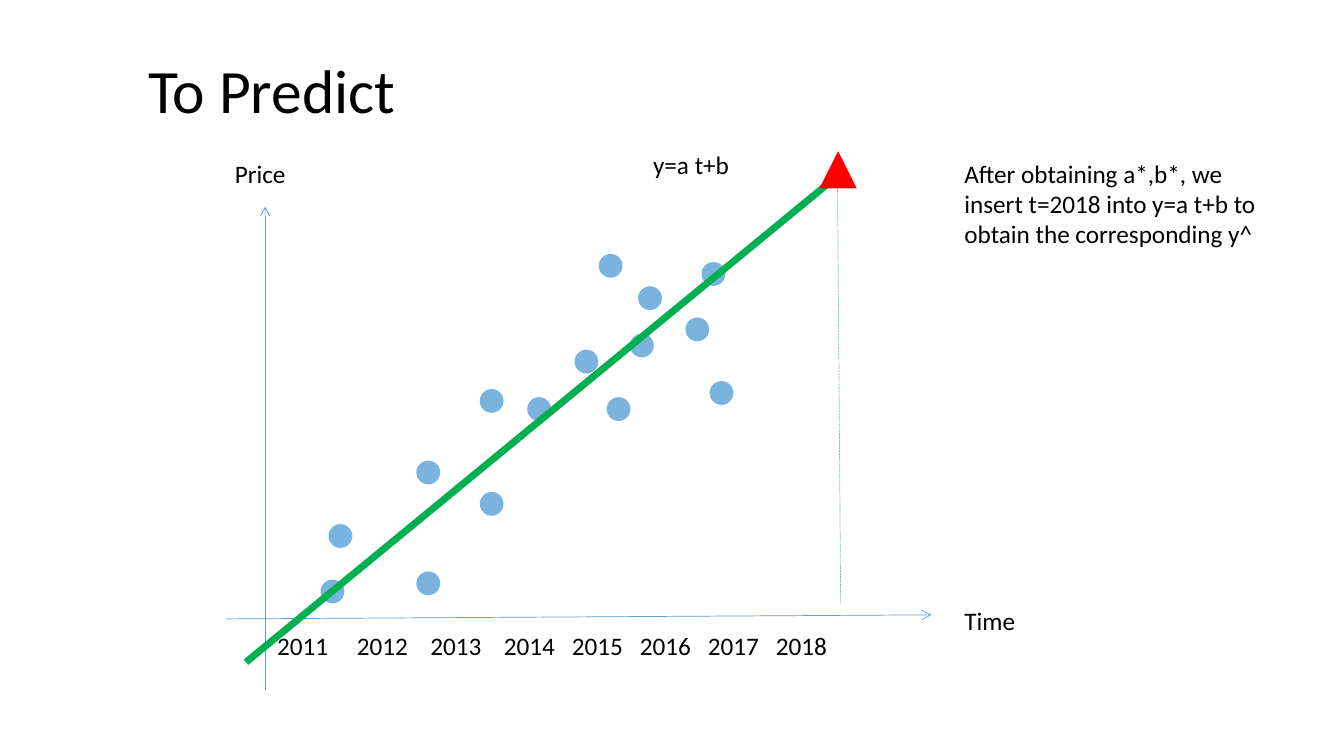
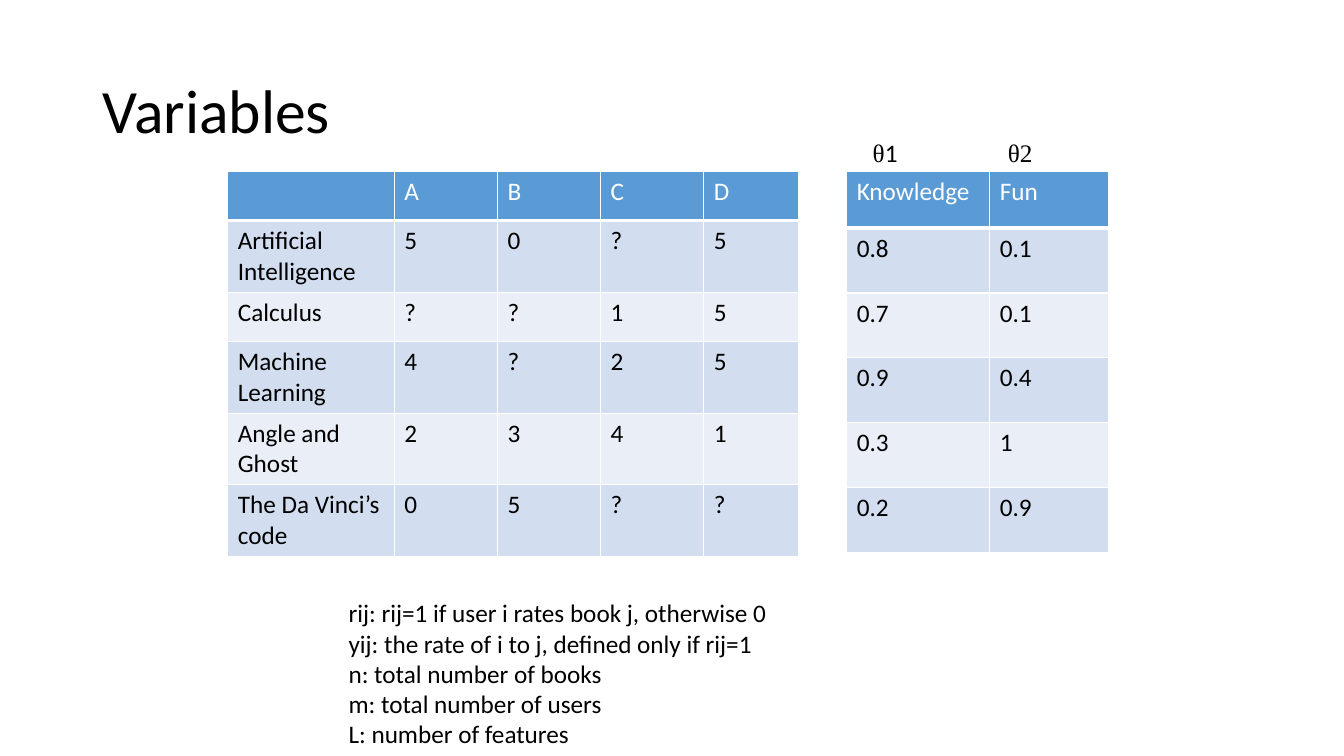
import itertools
from dataclasses import dataclass
from typing import Optional

import lxml.etree
import pptx
import pptx.dml.color
import pptx.enum.dml
import pptx.enum.shapes
import pptx.enum.text
import pptx.oxml.ns
import pptx.util

Pt = pptx.util.Pt
qn = pptx.oxml.ns.qn

# Shared look
BODY_FONT, GREEK_FONT = "Calibri", "Times New Roman"
BLACK, WHITE, BLUE = "000000", "FFFFFF", "5B9BD5"
BANDS = ("D2DEEF", "EAEFF7")
TITLE_SIZE, BODY_SIZE = 44, 18


@dataclass(frozen=True)
class Box:
    x: float
    y: float
    w: float
    h: float

    def lengths(self) -> tuple:
        return Pt(self.x), Pt(self.y), Pt(self.w), Pt(self.h)


@dataclass(frozen=True)
class Run:
    text: str
    font: str = BODY_FONT


@dataclass(frozen=True)
class Label:
    box: Box
    paragraphs: tuple  # each paragraph is a tuple of runs
    wrap: bool = True


@dataclass(frozen=True)
class Line:
    start: tuple
    end: tuple
    color: str = BLUE
    width: float = 0.5
    arrow: bool = False
    dash: Optional[pptx.enum.dml.MSO_LINE] = None


@dataclass(frozen=True)
class Grid:
    box: Box
    cols: tuple
    row_heights: tuple
    rows: tuple


def rgb(color: str) -> pptx.dml.color.RGBColor:
    return pptx.dml.color.RGBColor.from_string(color)


def add_run(p, run: Run, size: float = BODY_SIZE, color: str = BLACK) -> None:
    r = p.add_run()
    r.text = run.text
    r.font.name = run.font
    r.font.size = Pt(size)
    r.font.bold = False
    r.font.color.rgb = rgb(color)


def add_titled_slide(prs, title: str, box: Box):
    s = prs.slides.add_slide(prs.slide_layouts[5])
    sp = s.shapes.title
    sp.left, sp.top, sp.width, sp.height = box.lengths()
    tf = sp.text_frame
    tf.auto_size = pptx.enum.text.MSO_AUTO_SIZE.NONE
    tf.vertical_anchor = pptx.enum.text.MSO_ANCHOR.MIDDLE
    p = tf.paragraphs[0]
    p.alignment = pptx.enum.text.PP_ALIGN.LEFT
    p.line_spacing = 0.9
    add_run(p, Run(title), TITLE_SIZE)
    return s


def add_label(s, label: Label):
    tf = s.shapes.add_textbox(*label.box.lengths()).text_frame
    tf.word_wrap = label.wrap
    tf.auto_size = pptx.enum.text.MSO_AUTO_SIZE.SHAPE_TO_FIT_TEXT
    for i, runs in enumerate(label.paragraphs):
        p = tf.add_paragraph() if i else tf.paragraphs[0]
        for run in runs:
            add_run(p, run)
    return tf


def add_tab_stops(p, stops) -> None:
    tabs = lxml.etree.SubElement(p._p.get_or_add_pPr(), qn("a:tabLst"))
    for stop in stops:
        lxml.etree.SubElement(tabs, qn("a:tab"), pos=str(Pt(stop)), algn="l")


def add_line(s, line: Line) -> None:
    cx = s.shapes.add_connector(
        pptx.enum.shapes.MSO_CONNECTOR.STRAIGHT,
        *(Pt(v) for v in line.start + line.end))
    cx.line.color.rgb = rgb(line.color)
    cx.line.width = Pt(line.width)
    if line.dash is not None:
        cx.line.dash_style = line.dash
    if line.arrow:
        lxml.etree.SubElement(cx.line._get_or_add_ln(), qn("a:tailEnd"), type="arrow")
    lxml.etree.SubElement(cx._element.spPr, qn("a:effectLst"))


def add_marker(s, kind, box: Box, color: str, opacity: int = 100) -> None:
    sp = s.shapes.add_shape(kind, *box.lengths())
    sp.shadow.inherit = False
    sp.fill.solid()
    sp.fill.fore_color.rgb = rgb(color)
    sp.line.fill.background()
    if opacity < 100:
        clr = sp._element.spPr.find(qn("a:solidFill")).find(qn("a:srgbClr"))
        lxml.etree.SubElement(clr, qn("a:alpha"), val=str(opacity * 1000))


def set_borders(cell, bottom: float) -> None:
    tc_pr = cell._tc.get_or_add_tcPr()
    for i, (side, width) in enumerate(
            (("L", 1), ("R", 1), ("T", 1), ("B", bottom))):
        ln = lxml.etree.Element(qn(f"a:ln{side}"), w=str(Pt(width)))
        fill = lxml.etree.SubElement(ln, qn("a:solidFill"))
        lxml.etree.SubElement(fill, qn("a:srgbClr"), val=WHITE)
        tc_pr.insert(i, ln)


def add_grid(s, grid: Grid) -> None:
    table = s.shapes.add_table(
        len(grid.rows), len(grid.cols), *grid.box.lengths()).table
    for col, width in zip(table.columns, grid.cols):
        col.width = Pt(width)
    for i, (height, values) in enumerate(zip(grid.row_heights, grid.rows)):
        table.rows[i].height = Pt(height)
        header = i == 0
        for j, value in enumerate(values):
            cell = table.cell(i, j)
            cell.fill.solid()
            cell.fill.fore_color.rgb = rgb(BLUE if header else BANDS[(i - 1) % 2])
            set_borders(cell, 3 if header else 1)
            if value:
                add_run(cell.text_frame.paragraphs[0], Run(value),
                        color=WHITE if header else BLACK)


# Slide 1: scatter with fitted line
AXES = (
    Line((161.3, 442.1), (665.3, 439.2), arrow=True),
    Line((189.4, 493.2), (189.4, 147.6), arrow=True),
)
AXIS_NAMES = (
    Label(Box(681.8, 429.1, 85, 29), ((Run("Time"),),)),
    Label(Box(160.6, 109.4, 70.6, 29), ((Run("Price"),),)),
)
DOT_SIZE = 17
DOTS = (
    (234.7, 374.4), (297.4, 329), (297.4, 408.2), (229, 414), (342.7, 351.4),
    (433.4, 283.7), (410.4, 249.8), (489.6, 226.8), (455.8, 204.5),
    (450, 238.3), (427.7, 181.4), (506.9, 272.2), (501.1, 187.2),
    (376.6, 283.7), (342.7, 277.9),
)
FIT = Line((175.7, 473), (600.5, 123.8), "00B050", 5)
NOTES = (
    Label(Box(459.4, 103, 90.7, 29), ((Run("y=a t+b"),),)),
    Label(Box(681.8, 109.4, 240.5, 72.7), ((Run(
        "After obtaining a*,b*, we insert t=2018 into y=a t+b "
        "to obtain the corresponding y^"),),)),
)
PREDICTION = Box(585.4, 108, 26.6, 26.6)
DROP = Line((598.3, 134.6), (600.5, 431.3),
            dash=pptx.enum.dml.MSO_LINE.ROUND_DOT)
YEARS_BOX = Box(190.8, 446.4, 455, 29)
YEARS = range(2011, 2019)
YEAR_STEPS = (57, 52.5, 52.5) + (48.6,) * 4


def build_prediction(prs) -> None:
    shapes = pptx.enum.shapes.MSO_SHAPE
    s = add_titled_slide(prs, "To Predict", Box(98.6, 30.2, 801.4, 72.7))
    for axis in AXES:
        add_line(s, axis)
    for name in AXIS_NAMES:
        add_label(s, name)
    for x, y in DOTS:
        add_marker(s, shapes.OVAL, Box(x, y, DOT_SIZE, DOT_SIZE), "0070C0", 52)
    add_line(s, FIT)
    for note in NOTES:
        add_label(s, note)
    add_marker(s, shapes.ISOSCELES_TRIANGLE, PREDICTION, "FF0000")
    add_line(s, DROP)
    # Year scale on tab stops
    tf = add_label(s, Label(YEARS_BOX, ((Run("\t".join(map(str, YEARS))),),)))
    add_tab_stops(tf.paragraphs[0], itertools.accumulate(YEAR_STEPS))


# Slide 2: ratings and book features
RATINGS = Grid(
    Box(162.7, 122.4, 408.2, 272.2),
    (119, 73.7, 73.7, 73.7, 67.7), (35.2,) * 6,
    (
        ("", "A", "B", "C", "D"),
        ("Artificial Intelligence", "5", "0", "?", "5"),
        ("Calculus", "?", "?", "1", "5"),
        ("Machine Learning", "4", "?", "2", "5"),
        ("Angle and Ghost", "2", "3", "4", "1"),
        ("The Da Vinci’s code", "0", "5", "?", "?"),
    ))
FEATURES = Grid(
    Box(604.8, 122.4, 187.2, 272.2),
    (102.2, 85), (40.6,) + (46.3,) * 5,
    (
        ("Knowledge", "Fun"),
        ("0.8", "0.1"),
        ("0.7", "0.1"),
        ("0.9", "0.4"),
        ("0.3", "1"),
        ("0.2", "0.9"),
    ))
DEFINITIONS = Label(Box(241.9, 423.4, 391, 116.6), tuple((Run(t),) for t in (
    "rij: rij=1 if user i rates book j, otherwise 0",
    "yij: the rate of i to j, defined only if rij=1",
    "n: total number of books",
    "m: total number of users",
    "L: number of features",
)))
THETAS = (
    Label(Box(616.3, 94.3, 32.4, 29), ((Run("θ", GREEK_FONT), Run("1")),), False),
    Label(Box(712.8, 94.3, 32.4, 29), ((Run("θ2", GREEK_FONT),),), False),
)


def build_variables(prs) -> None:
    s = add_titled_slide(prs, "Variables", Box(66.2, 28.8, 828, 104.4))
    add_grid(s, RATINGS)
    add_label(s, DEFINITIONS)
    add_grid(s, FEATURES)
    for theta in THETAS:
        add_label(s, theta)


def main() -> None:
    prs = pptx.Presentation()
    prs.slide_width, prs.slide_height = Pt(960), Pt(540)
    build_prediction(prs)
    build_variables(prs)
    prs.save("out.pptx")


if __name__ == "__main__":
    main()
